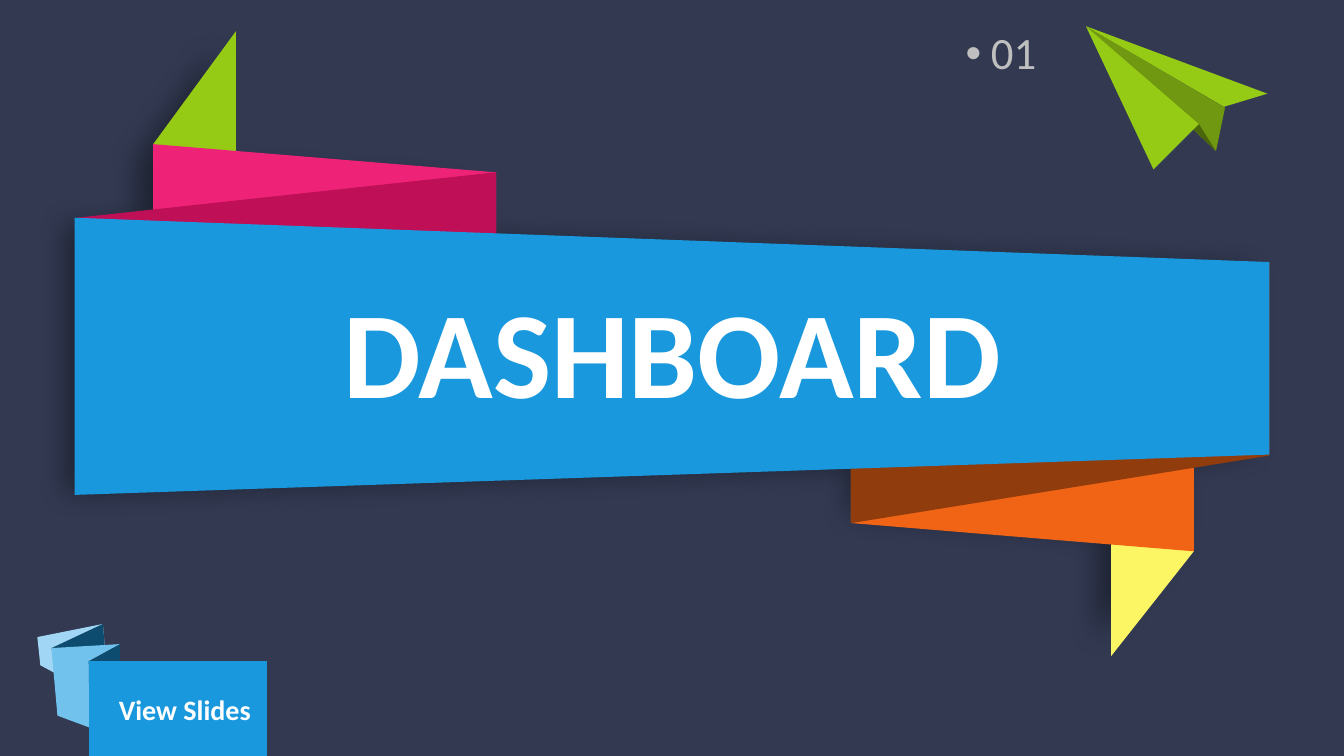
from lxml import etree
from pptx import Presentation
from pptx.dml.color import RGBColor
from pptx.enum import text as t
from pptx.oxml import ns
from pptx.util import Inches, Pt

NAVY = RGBColor(0x32, 0x39, 0x51)
WHITE = RGBColor(0xFF, 0xFF, 0xFF)
BLACK = RGBColor(0, 0, 0)
GREY = RGBColor(0xBF, 0xBF, 0xBF)
GREEN = RGBColor(0x95, 0xCA, 0x15)
MID_GREEN = RGBColor(0x70, 0x98, 0x10)
DARK_GREEN = RGBColor(0x4A, 0x65, 0x0B)
PINK = RGBColor(0xEE, 0x23, 0x77)
DARK_PINK = RGBColor(0xBE, 0x0F, 0x57)
YELLOW = RGBColor(0xFC, 0xF6, 0x64)
ORANGE = RGBColor(0xF1, 0x64, 0x15)
BROWN = RGBColor(0x91, 0x3C, 0x0D)
BLUE = RGBColor(0x1A, 0x98, 0xDD)
PALE_BLUE = RGBColor(0xA1, 0xD7, 0xF4)
SKY_BLUE = RGBColor(0x72, 0xC2, 0xEE)
DEEP_BLUE = RGBColor(0x0D, 0x4C, 0x6E)

RIBBON_OUTLINE = [
    (2.3, 0.5), (2.3, 1.63), (4.65, 1.82), (4.65, 2.34), (12.49, 2.63),
    (12.49, 2.69), (12.56, 2.68), (12.56, 4.45), (12.49, 4.46), (12.49, 4.48),
    (12.35, 4.48), (11.84, 4.56), (11.84, 5.32), (11.06, 6.29), (11.06, 5.26),
    (8.6, 5.07), (8.6, 4.6), (0.87, 4.86), (0.84, 4.86), (0.84, 2.2),
    (1.18, 2.21), (1.55, 2.17), (1.55, 1.56),
]
RIBBON_FOLDS = [
    (GREEN, [(2.34, 0.31), (1.52, 1.43), (1.52, 4.18), (2.34, 2.22)]),
    (PINK, [(4.92, 1.71), (1.52, 1.43), (1.52, 4.18), (4.92, 3.62)]),
    (DARK_PINK, [(4.92, 1.71), (0.77, 2.16), (0.77, 4.91), (4.92, 3.62)]),
    (YELLOW, [(11.02, 6.51), (11.84, 5.47), (11.84, 3.11), (11.02, 4.48)]),
    (ORANGE, [(8.44, 5.19), (11.84, 5.47), (11.84, 3.11), (8.44, 3.51)]),
    (BROWN, [(8.44, 5.19), (12.59, 4.52), (12.59, 2.61), (8.44, 3.51)]),
    (BLUE, [(12.59, 2.6), (0.74, 2.16), (0.74, 4.91), (12.59, 4.51)]),
]
NOSE = (10.77, 0.26)
PLANE_FOLDS = [
    (MID_GREEN, [NOSE, (12.15, 1.07), (12.06, 1.5)]),
    (DARK_GREEN, [NOSE, (12.06, 1.5), (11.89, 1.23)]),
    (GREEN, [NOSE, (12.14, 1.06), (12.57, 0.93)]),
    (GREEN, [NOSE, (11.89, 1.23), (11.44, 1.68)]),
]
BUTTON_FOLDS = [
    (PALE_BLUE, [(1.09, 6.97), (0.4, 6.6), (0.37, 6.32), (1.02, 6.19)]),
    (DEEP_BLUE, [(0.75, 7.1), (1.09, 6.97), (1.02, 6.19), (0.51, 6.43)]),
    (SKY_BLUE, [(0.51, 6.43), (1.19, 6.39), (1.19, 7.33), (0.57, 7.1)]),
    (DEEP_BLUE, [(1.19, 7.33), (0.89, 7.33), (0.88, 6.56), (1.19, 6.39)]),
    (BLUE, [(0.88, 6.56), (0.88, 7.5), (2.65, 7.5), (2.65, 6.56)]),
]


def add_polygon(shapes, color, points):
    start, *rest = [(Inches(x), Inches(y)) for x, y in points]
    builder = shapes.build_freeform(*start)
    builder.add_line_segments(rest, close=True)
    polygon = builder.convert_to_shape()
    polygon.shadow.inherit = False
    polygon.fill.solid()
    polygon.fill.fore_color.rgb = color
    polygon.line.fill.background()
    return polygon


def add_folds(shapes, folds):
    for color, points in folds:
        add_polygon(shapes, color, points)


def add_shadow(shape, blur, distance, angle, opacity):
    """Cast an outer shadow; lengths in points, angle in degrees, opacity in percent."""
    effects = shape._element.spPr.find(ns.qn("a:effectLst"))
    shadow = etree.SubElement(
        effects, ns.qn("a:outerShdw"), blurRad=str(Pt(blur)), dist=str(Pt(distance)),
        dir=str(angle * 60000), algn="ctr", rotWithShape="0")
    color = etree.SubElement(shadow, ns.qn("a:srgbClr"), val=str(BLACK))
    etree.SubElement(color, ns.qn("a:alpha"), val=str(opacity * 1000))


def add_bullet(para, indent):
    properties = para._p.get_or_add_pPr()
    properties.set("marL", str(indent))
    properties.set("indent", str(-indent))
    etree.SubElement(properties, ns.qn("a:buFont"), typeface="Arial")
    etree.SubElement(properties, ns.qn("a:buChar"), char="•")


def add_text(slide, wording, left, top, width, height, *, size, color=WHITE, bold=False,
             align=t.PP_ALIGN.LEFT, anchor=t.MSO_ANCHOR.TOP, spacing=1.0, bullet=False):
    box = slide.shapes.add_textbox(Inches(left), Inches(top), Inches(width), Inches(height))
    frame = box.text_frame
    frame.word_wrap = True
    frame.vertical_anchor = anchor
    para = frame.paragraphs[0]
    para.alignment = align
    para.line_spacing = spacing
    if bullet:
        add_bullet(para, Inches(0.25))
    span = para.add_run()
    span.text = wording
    span.font.name = "Calibri"
    span.font.size = Pt(size)
    span.font.bold = bold
    span.font.color.rgb = color


def main():
    deck = Presentation()
    deck.slide_width, deck.slide_height = Inches(13.33), Inches(7.5)
    slide = deck.slides.add_slide(deck.slide_layouts[6])
    slide.background.fill.solid()
    slide.background.fill.fore_color.rgb = NAVY

    ribbon_base = add_polygon(slide.shapes, WHITE, RIBBON_OUTLINE)
    add_shadow(ribbon_base, blur=20, distance=13, angle=170, opacity=40)
    add_folds(slide.shapes, RIBBON_FOLDS)

    add_text(slide, "01", 9.48, 0.26, 3.85, 1.8, size=32, color=GREY, spacing=0.9, bullet=True)
    add_text(slide, "DASHBOARD", 1.67, 2.25, 10, 2.61, size=88, bold=True, spacing=0.9,
             align=t.PP_ALIGN.CENTER, anchor=t.MSO_ANCHOR.MIDDLE)

    for folds in (PLANE_FOLDS, BUTTON_FOLDS):
        add_folds(slide.shapes.add_group_shape().shapes, folds)
    add_text(slide, "View Slides", 1.08, 6.82, 1.57, 0.44, size=20, bold=True)

    deck.save("out.pptx")


if __name__ == "__main__":
    main()
